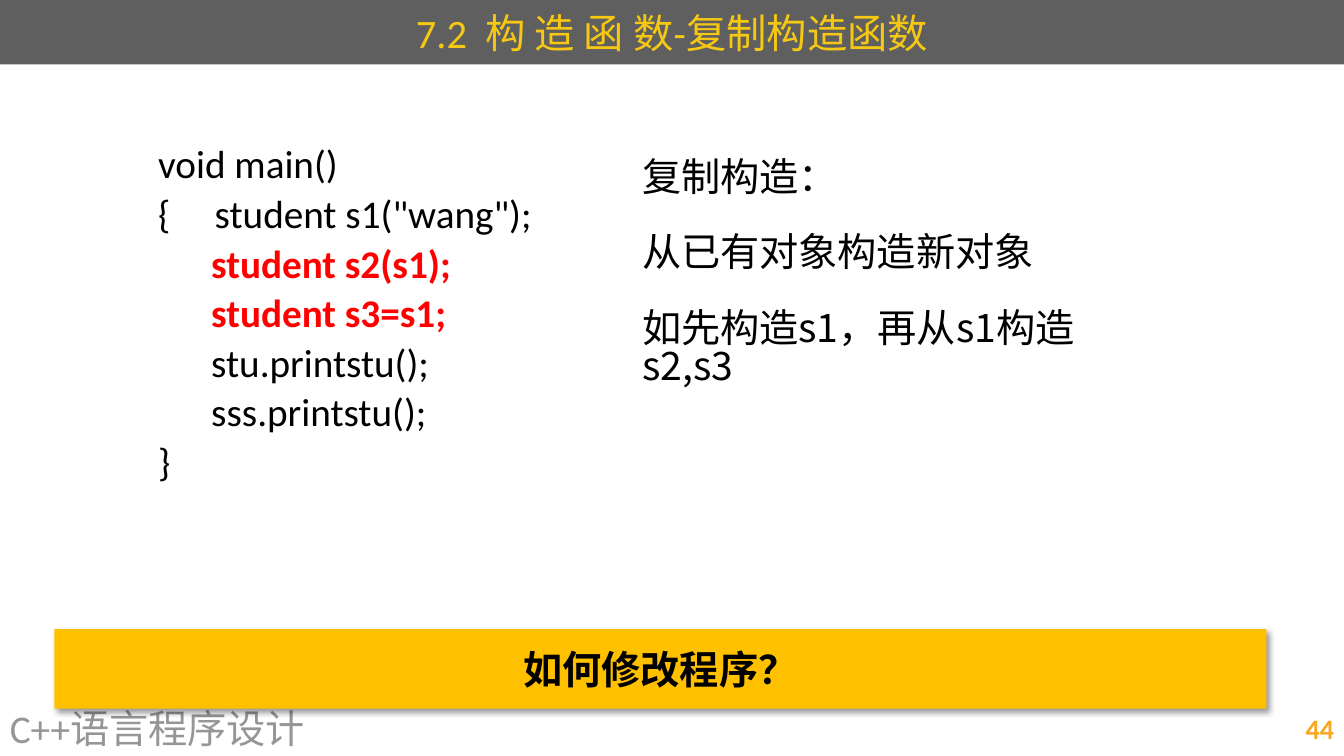
import pptx
import pptx.util
import pptx.dml.color
import pptx.enum.shapes
import pptx.enum.text
import pptx.oxml
import pptx.oxml.ns

Inches = pptx.util.Inches
Pt = pptx.util.Pt
ALIGN = pptx.enum.text.PP_ALIGN
MIDDLE = pptx.enum.text.MSO_ANCHOR.MIDDLE

COLORS = {"bar": "5F5F5F", "title": "F6C813", "course": "969696",
          "number": "F8A720", "text": "000000", "new": "FF0000",
          "banner": "FFC000"}
LATIN, CJK = "Calibri", "Noto Sans CJK SC"
WIDTH, HEIGHT = 13.33, 7.5


def rgb(key):
    return pptx.dml.color.RGBColor.from_string(COLORS[key])


def add_run(paragraph, words, color="text", size=28, bold=False, name=LATIN):
    run = paragraph.add_run()
    run.text = words
    for key, value in {"size": Pt(size), "bold": bold, "name": name}.items():
        setattr(run.font, key, value)
    run.font.color.rgb = rgb(color)
    east_asian = pptx.oxml.parse_xml(
        f'<a:ea {pptx.oxml.ns.nsdecls("a")} typeface="{CJK}"/>')
    run.font._element.find(pptx.oxml.ns.qn("a:latin")).addnext(east_asian)


def add_text_frame(slide, box, anchor=None):
    frame = slide.shapes.add_textbox(*map(Inches, box)).text_frame
    frame.word_wrap = True
    frame.vertical_anchor = anchor
    return frame


def add_paragraphs(frame, count):
    """Return the given number of paragraphs, the first being the frame's own."""
    return [frame.paragraphs[0]] + [frame.add_paragraph() for _ in range(count - 1)]


def add_title(slide, box):
    title = slide.shapes.title
    title.left, title.top, title.width, title.height = map(Inches, box)
    title.fill.solid()
    title.fill.fore_color.rgb = rgb("bar")
    title.text_frame.vertical_anchor = MIDDLE
    heading = title.text_frame.paragraphs[0]
    heading.alignment = ALIGN.CENTER
    add_run(heading, "7.2  构 造 函 数-", "title", 28.8)
    add_run(heading, "复制构造函数", "title", 28.8, name=CJK)


def add_footer(slide, box):
    left, top, width, height = box
    course_width = 8.78
    course = add_text_frame(slide, (left, top, course_width, height), MIDDLE)
    add_run(course.paragraphs[0], "C++语言程序设计", "course")
    number_width = 3.78
    number = add_text_frame(
        slide, (left + width - number_width, top, number_width, height), MIDDLE)
    number.paragraphs[0].alignment = ALIGN.RIGHT
    add_run(number.paragraphs[0], "44", "number", 20, True)


def add_code(slide, box):
    lines = ["void main()", '{     student s1("wang");',
             "      student s2(s1);", "      student s3=s1;",
             "      stu.printstu();", "      sss.printstu();", "}"]
    copies = lines[2:4]
    frame = add_text_frame(slide, box)
    for index, (paragraph, line) in enumerate(zip(add_paragraphs(frame, len(lines)), lines)):
        paragraph.line_spacing = 0.9
        if index:
            paragraph.space_before = Pt(5.2)
        is_copy = line in copies
        add_run(paragraph, line, "new" if is_copy else "text", bold=is_copy)


def add_explanation(slide, box):
    points = ["复制构造：", "从已有对象构造新对象", "如先构造s1，再从s1构造s2,s3"]
    frame = add_text_frame(slide, box)
    for index, (paragraph, point) in enumerate(zip(add_paragraphs(frame, len(points)), points)):
        paragraph.line_spacing = Pt(27)
        if index:
            paragraph.space_before = Pt(27)
        add_run(paragraph, point, name=CJK)


def add_banner(slide, box):
    banner = slide.shapes.add_shape(
        pptx.enum.shapes.MSO_SHAPE.RECTANGLE, *map(Inches, box))
    banner.fill.solid()
    banner.fill.fore_color.rgb = rgb("banner")
    banner.line.fill.background()
    banner.shadow.inherit = False
    effects = banner._element.spPr.find(pptx.oxml.ns.qn("a:effectLst"))
    effects.append(pptx.oxml.parse_xml(
        f'<a:outerShdw {pptx.oxml.ns.nsdecls("a")} blurRad="{Pt(4)}" dist="{Pt(3)}" '
        f'dir="2700000" algn="tl" rotWithShape="0"><a:srgbClr val="{COLORS["text"]}">'
        '<a:alpha val="40000"/></a:srgbClr></a:outerShdw>'))
    banner.text_frame.vertical_anchor = MIDDLE
    question = banner.text_frame.paragraphs[0]
    question.alignment = ALIGN.CENTER
    add_run(question, "如何修改程序？", bold=True)


def main():
    deck = pptx.Presentation()
    deck.slide_width, deck.slide_height = Inches(WIDTH), Inches(HEIGHT)
    slide = deck.slides.add_slide(deck.slide_layouts[5])
    add_title(slide, (0, 0, WIDTH, 0.64))
    add_footer(slide, (0, 6.95, WIDTH, 0.55))
    add_code(slide, (1.47, 1.39, 4.66, 2.2))
    add_explanation(slide, (6.27, 1.55, 4.57, 2.36))
    add_banner(slide, (0.54, 6.24, 12.02, 0.79))
    deck.save("out.pptx")


if __name__ == "__main__":
    main()
